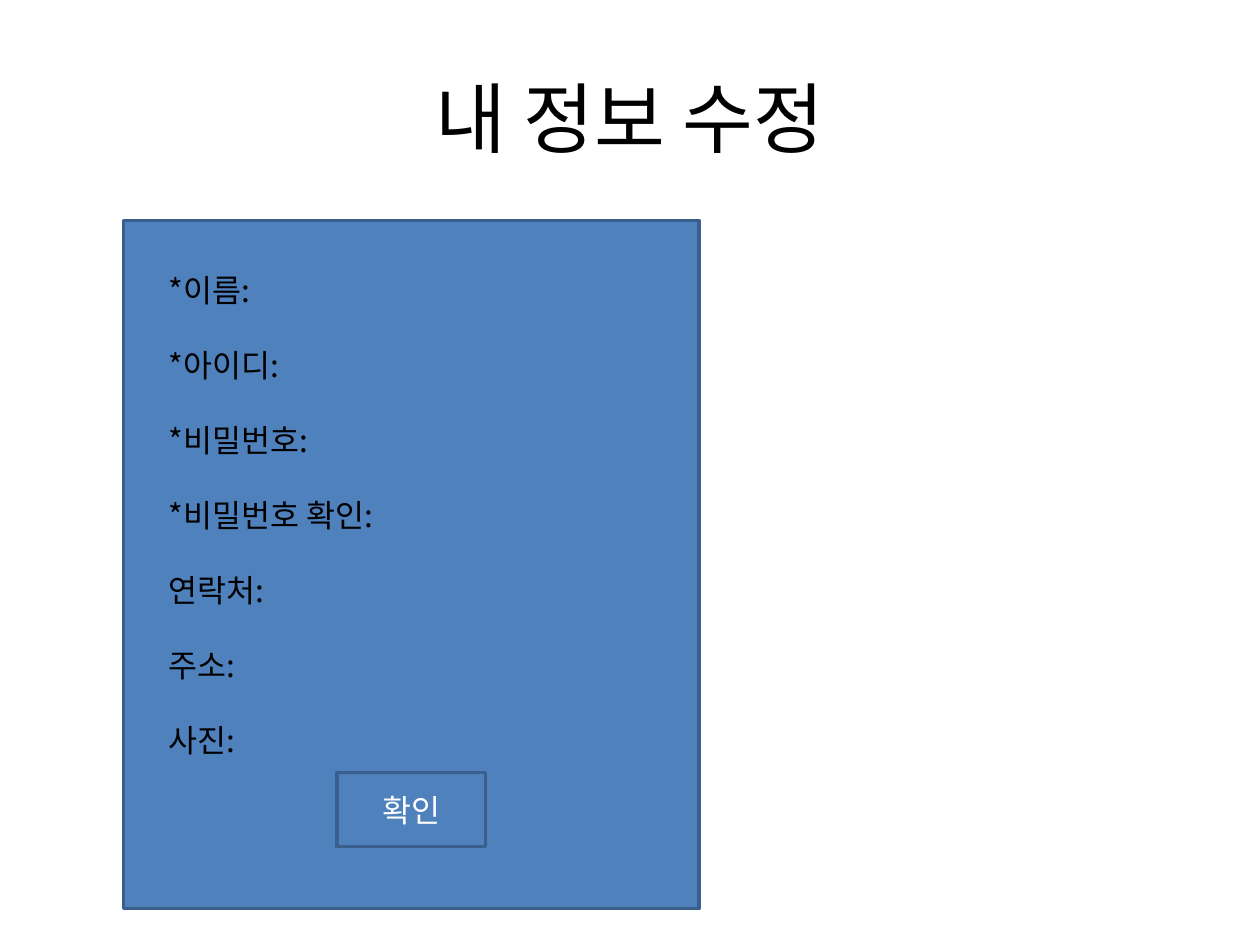
from pptx import Presentation
from pptx.dml.color import RGBColor
from pptx.enum import shapes, text
from pptx.oxml.ns import qn
from pptx.util import Inches, Pt
from lxml import etree

BLACK = RGBColor(0, 0, 0)
WHITE = RGBColor(255, 255, 255)
BLUE = RGBColor(0x4F, 0x81, 0xBD)
DARK_BLUE = RGBColor(0x3A, 0x5F, 0x8C)
FONT = "Noto Sans CJK KR"

# Each field label with the width of its box
FIELDS = [
    ("*이름:", 0.87),
    ("*아이디:", 1.12),
    ("*비밀번호:", 1.37),
    ("*비밀번호 확인:", 1.97),
    ("연락처:", 1.02),
    ("주소:", 0.76),
    ("사진:", 0.76),
]
FIELD_PITCH = 0.595


def write(frame, wording, size, color, align=text.PP_ALIGN.LEFT):
    paragraph = frame.paragraphs[0]
    paragraph.text = wording
    paragraph.alignment = align
    font = paragraph.font
    font.size = Pt(size)
    font.color.rgb = color
    font.name = FONT
    # Korean letters take the East Asian typeface
    latin = paragraph._p.pPr.find(qn("a:defRPr")).find(qn("a:latin"))
    east_asian = etree.Element(qn("a:ea"), typeface=FONT)
    latin.addnext(east_asian)


def add_blue_box(slide, left, top, width, height):
    box = slide.shapes.add_shape(
        shapes.MSO_SHAPE.RECTANGLE,
        Inches(left), Inches(top), Inches(width), Inches(height))
    box.shadow.inherit = False
    box.fill.solid()
    box.fill.fore_color.rgb = BLUE
    box.line.color.rgb = DARK_BLUE
    box.line.width = Pt(2)
    return box


def add_title(slide, left, top, width, height):
    title = slide.shapes.add_textbox(
        Inches(left), Inches(top), Inches(width), Inches(height))
    frame = title.text_frame
    frame.word_wrap = True
    frame.vertical_anchor = text.MSO_ANCHOR.MIDDLE
    write(frame, "내 정보 수정", 44, BLACK, text.PP_ALIGN.CENTER)


def add_form(slide, left, top, width, height):
    add_blue_box(slide, left, top, width, height)

    # Field labels
    for row, (label, label_width) in enumerate(FIELDS):
        field = slide.shapes.add_textbox(
            Inches(left + 0.26), Inches(top + 0.35 + row * FIELD_PITCH),
            Inches(label_width), Inches(0.4))
        frame = field.text_frame
        frame.word_wrap = False
        frame.auto_size = text.MSO_AUTO_SIZE.SHAPE_TO_FIT_TEXT
        write(frame, label, 18, BLACK)

    # Confirm button, centred across the form
    button_width = 1.18
    button = add_blue_box(slide, left + (width - button_width) / 2,
                          top + 4.38, button_width, 0.59)
    button.text_frame.vertical_anchor = text.MSO_ANCHOR.MIDDLE
    write(button.text_frame, "확인", 18, WHITE, text.PP_ALIGN.CENTER)


def main():
    deck = Presentation()
    deck.slide_width, deck.slide_height = Inches(10), Inches(7.5)
    slide = deck.slides.add_slide(deck.slide_layouts[6])
    add_title(slide, 0.5, 0.3, 9, 1.25)
    add_form(slide, 0.98, 1.75, 4.57, 5.46)
    deck.save("out.pptx")


if __name__ == "__main__":
    main()
